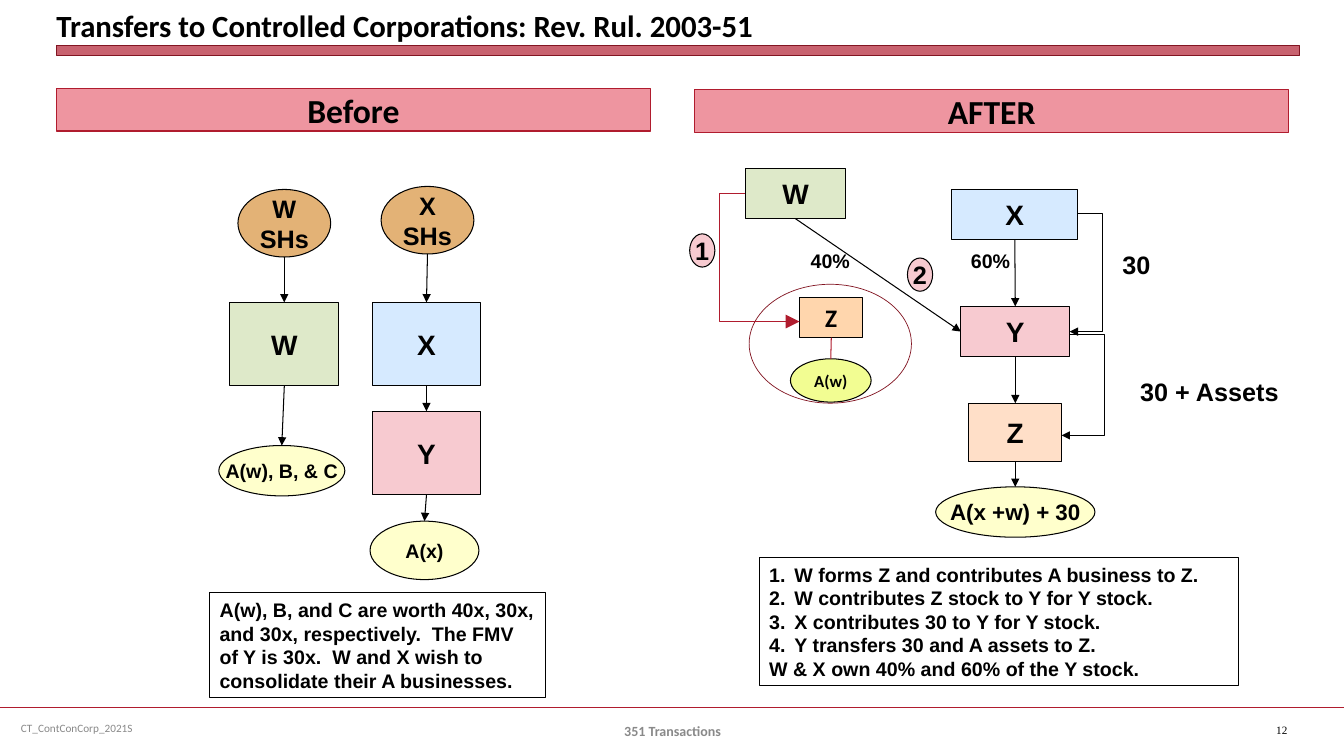
from lxml.etree import SubElement
from pptx import Presentation
from pptx.dml.color import RGBColor
from pptx.enum.shapes import MSO_CONNECTOR, MSO_SHAPE
from pptx.enum.text import MSO_ANCHOR, PP_ALIGN
from pptx.oxml.ns import qn
from pptx.util import Inches, Pt

COLORS = {
    "black": "000000", "gray": "898989", "red": "B01C2E", "dark_red": "821522",
    "bar": "C8626F", "header": "EE95A0", "tan": "E3B276", "green": "DEE9C9",
    "blue": "D6EAFF", "pink": "F7CAD0", "yellow": "FFFFCC", "lime": "F2FD92",
    "peach": "FFDFC8", "orange": "FFD6AD",
}
RECT, OVAL = MSO_SHAPE.RECTANGLE, MSO_SHAPE.OVAL
LEFT, CENTER = PP_ALIGN.LEFT, PP_ALIGN.CENTER


def rgb(name):
    return RGBColor.from_string(COLORS[name])


class Deck:
    def __init__(self):
        self.prs = Presentation()
        self.prs.slide_width, self.prs.slide_height = Inches(13.33), Inches(7.5)
        self.s = self.prs.slides.add_slide(self.prs.slide_layouts[6])

    def set_text(self, sp, text, size, font="Arial", color="black", bold=True,
                 align=CENTER, wrap=False, anchor=MSO_ANCHOR.MIDDLE):
        tf = sp.text_frame
        tf.text = text
        tf.word_wrap = wrap
        tf.vertical_anchor = anchor
        for p in tf.paragraphs:
            p.alignment = align
            for r in p.runs:
                r.font.size, r.font.name, r.font.bold = Pt(size), font, bold
                r.font.color.rgb = rgb(color)
        return tf

    def shape(self, kind, at, fill=None, text="", size=20, line="black",
              width=0.75, **style):
        sp = self.s.shapes.add_shape(kind, *map(Inches, at))
        sp.shadow.inherit = False
        if fill:
            sp.fill.solid()
            sp.fill.fore_color.rgb = rgb(fill)
        else:
            sp.fill.background()
        sp.line.color.rgb = rgb(line)
        sp.line.width = Pt(width)
        if text:
            self.set_text(sp, text, size, **style)
        return sp

    def label(self, at, text, size, **style):
        sp = self.s.shapes.add_textbox(*map(Inches, at))
        return self.set_text(sp, text, size, **style)

    def line(self, start, end, color="black", width=0.75, head="med", bend=None):
        """Draw a line; bend is the x of an elbow's upright part."""
        kind = MSO_CONNECTOR.STRAIGHT if bend is None else MSO_CONNECTOR.ELBOW
        c = self.s.shapes.add_connector(kind, *map(Inches, start + end))
        c.line.color.rgb = rgb(color)
        c.line.width = Pt(width)
        spPr = c._element.spPr
        if bend is not None:
            ratio = (bend - start[0]) / (end[0] - start[0])
            av = spPr.find(qn("a:prstGeom")).get_or_add_avLst()
            SubElement(av, qn("a:gd"), name="adj1", fmla=f"val {round(ratio * 100000)}")
        if head:
            SubElement(spPr.find(qn("a:ln")), qn("a:tailEnd"),
                       type="triangle", w=head, len=head)
        SubElement(spPr, qn("a:effectLst"))

    def link(self, upper, lower, **style):
        """Join the bottom of one shape to the top of another."""
        start = ((upper.left + upper.width / 2) / Inches(1),
                 (upper.top + upper.height) / Inches(1))
        end = ((lower.left + lower.width / 2) / Inches(1), lower.top / Inches(1))
        self.line(start, end, **style)

    def number(self, paragraphs):
        for p in paragraphs:
            pPr = p._p.get_or_add_pPr()
            pPr.set("marL", str(Inches(0.25)))
            pPr.set("indent", str(Inches(-0.25)))
            SubElement(pPr, qn("a:buFont"), typeface="+mj-lt")
            SubElement(pPr, qn("a:buAutoNum"), type="arabicPeriod")


def main():
    d = Deck()

    # Title, headers and footer
    tf = d.label((0.56, 0, 12.33, 0.43),
                 "Transfers to Controlled Corporations: Rev. Rul. 2003-51", 22,
                 font="Calibri", align=LEFT, wrap=True, anchor=MSO_ANCHOR.BOTTOM)
    tf.margin_left = tf.margin_right = tf.margin_top = tf.margin_bottom = 0
    d.shape(RECT, (0.56, 0.45, 12.33, 0.1), "bar", line="dark_red", width=0.25)
    for x, y, text in ((0.56, 0.88, "Before"), (6.89, 0.89, "AFTER")):
        sp = d.shape(RECT, (x, y, 5.89, 0.42), "header", text, 24, line="red",
                     font="Calibri", wrap=True)
        sp.text_frame.paragraphs[0].space_before = Pt(4.8)
    d.line((0, 7.02), (13.33, 7.02), "red", 1.25, head=None)
    d.label((0.11, 7.02, 3.44, 0.4), "CT_ContConCorp_2021S", 8, font="Calibri",
            color="gray", bold=False, align=LEFT, wrap=True)
    d.label((4.56, 7.05, 4.22, 0.4), "351 Transactions", 10, font="Calibri",
            color="gray", wrap=True)
    d.label((12.56, 7.04, 0.67, 0.4), "12", 8, font="Times New Roman",
            bold=False, align=LEFT, wrap=True)

    # Before: two ownership chains
    chains = (
        ((OVAL, (2.36, 1.88, 0.92, 0.67), "tan", "W\nSHs", 18),
         (RECT, (2.28, 3, 1.08, 0.83), "green", "W", 20),
         (OVAL, (2.17, 4.42, 1.25, 0.5), "yellow", "A(w), B, & C", 14)),
        ((OVAL, (3.78, 1.85, 0.92, 0.67), "tan", "X\nSHs", 18),
         (RECT, (3.69, 3, 1.08, 0.83), "blue", "X", 20),
         (RECT, (3.69, 4.08, 1.08, 0.83), "pink", "Y", 20),
         (OVAL, (3.67, 5.17, 1.08, 0.58), "yellow", "A(x)", 14)),
        # After: the chain below X
        ((RECT, (9.44, 1.88, 1.25, 0.5), "blue", "X", 20),
         (RECT, (9.53, 3.04, 1.08, 0.5), "pink", "Y", 20),
         (RECT, (9.61, 4, 0.92, 0.58), "peach", "Z", 20),
         (OVAL, (9.28, 4.83, 1.58, 0.5), "yellow", "A(x +w) + 30", 16)),
    )
    for chain in chains:
        shapes = [d.shape(*node) for node in chain]
        for upper, lower in zip(shapes, shapes[1:]):
            d.link(upper, lower)

    # After: W, its new subsidiary Z and the transfers
    d.shape(RECT, (7.39, 1.67, 1, 0.5), "green", "W")
    d.line((7.89, 2.17), (9.53, 3.29))
    d.line((10.69, 2.12), (10.61, 3.29), bend=10.94)
    d.line((10.61, 3.32), (10.53, 4.32), bend=10.96)
    business = d.shape(OVAL, (7.84, 3.56, 0.8, 0.43), "lime", "A(w)", 12, font="Calibri")
    new_z = d.shape(RECT, (7.93, 2.95, 0.63, 0.4), "orange", "Z", 18, font="Calibri")
    d.link(new_z, business, color="red", head=None)
    d.shape(OVAL, (7.43, 2.82, 1.61, 1.18), line="dark_red", width=0.5)
    d.line((7.39, 1.92), (7.93, 3.19), "red", head="lg", bend=7.14)

    # Step numbers and amounts
    for x, y, step in ((6.84, 2.32, "1"), (9, 2.56, "2")):
        d.shape(OVAL, (x, y, 0.25, 0.33), "pink", step, 18)
    for at, text, size in (
        ((11.03, 2.42, 0.48, 0.4), "30", 18),
        ((11.2, 3.68, 1.59, 0.4), "30 + Assets", 18),
        ((7.94, 2.42, 0.59, 0.33), "40%", 14),
        ((9.53, 2.42, 0.59, 0.33), "60%", 14),
    ):
        d.label(at, text, size)

    # Explanations
    d.shape(RECT, (2.08, 5.88, 3.33, 1.04), None,
            "A(w), B, and C are worth 40x, 30x, and 30x, respectively.  The FMV "
            "of Y is 30x.  W and X wish to consolidate their A businesses.",
            14, width=0.5, align=LEFT, wrap=True)
    steps = d.shape(RECT, (7.53, 5.53, 4.75, 1.27), None,
                    "W forms Z and contributes A business to Z.\n"
                    "W contributes Z stock to Y for Y stock.\n"
                    "X contributes 30 to Y for Y stock.\n"
                    "Y transfers 30 and A assets to Z.\n"
                    "W & X own 40% and 60% of the Y stock.",
                    14, width=0.5, align=LEFT, wrap=True)
    d.number(steps.text_frame.paragraphs[:4])

    d.prs.save("out.pptx")


if __name__ == "__main__":
    main()
